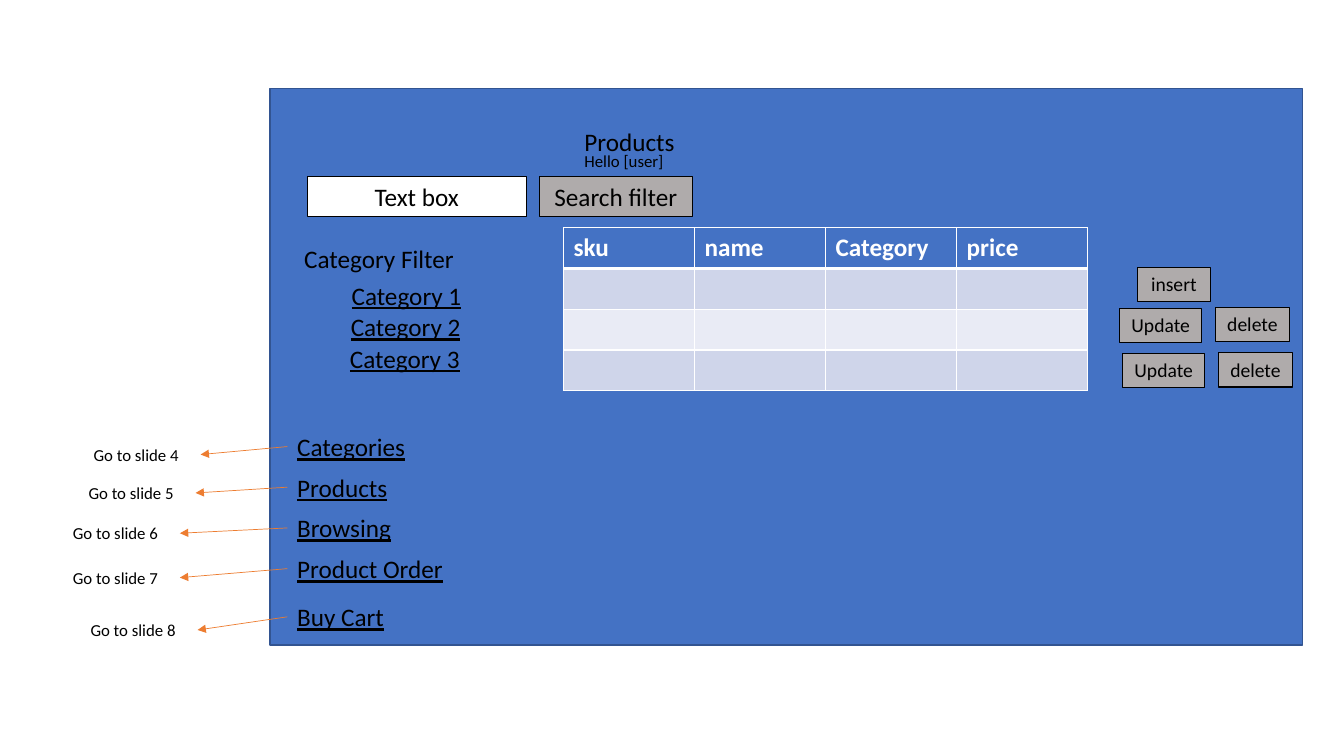
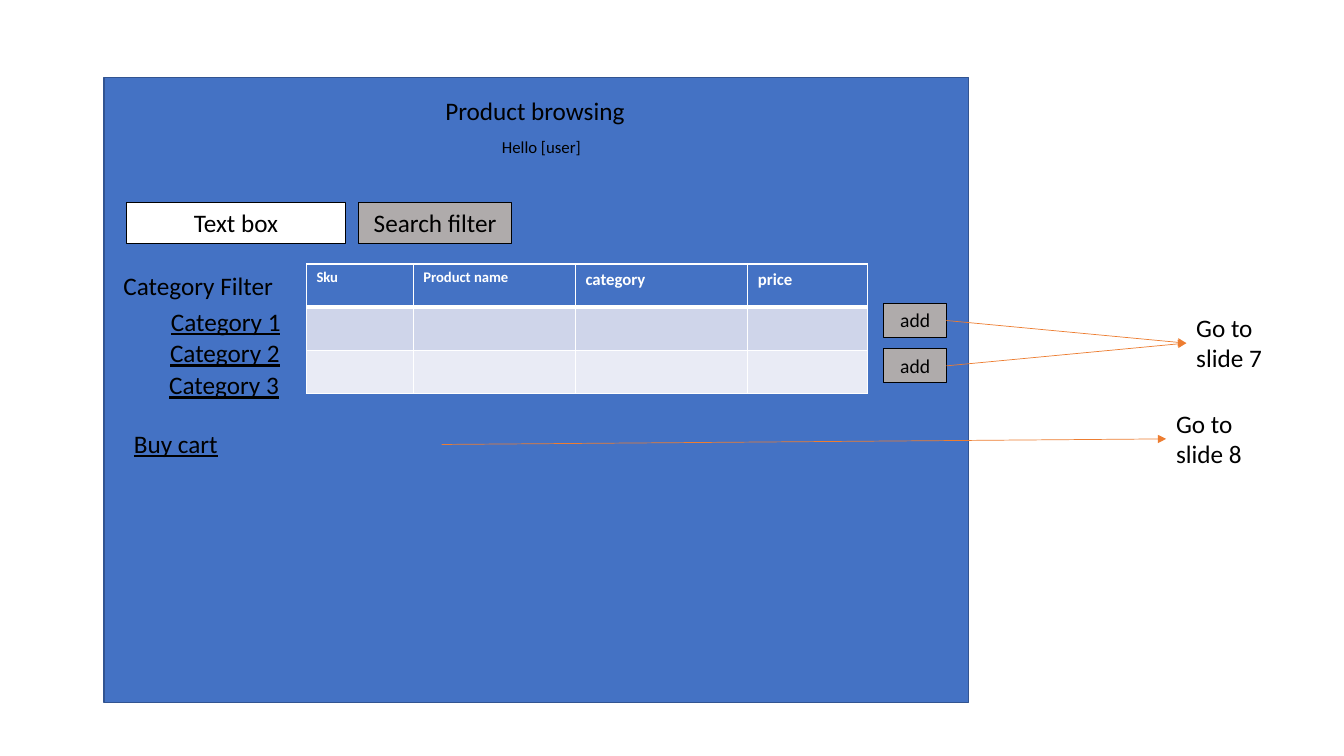
from pptx import Presentation
from pptx.dml.color import RGBColor as RGB
from pptx.enum.shapes import MSO_CONNECTOR as Connector, MSO_SHAPE as Shape
from pptx.enum.text import MSO_ANCHOR as Anchor, MSO_AUTO_SIZE as AutoSize
from pptx.oxml.ns import qn
from pptx.util import Pt
from lxml.etree import SubElement

# Theme
THEME = {
    "panel": "4472C4", "panel_edge": "325491", "button": "AFABAB",
    "field": "FFFFFF", "ink": "000000", "arrow": "ED7D31", "grid": "FFFFFF",
    "bands": ("CFD5EA", "E9EBF5"), "font": "Calibri",
    "body": 18, "button_size": 14, "note": 12,
    "line_h": 29, "button_h": 24.5, "note_h": 21.8,
}
FRAME = {"word_wrap": True, "vertical_anchor": Anchor.TOP,
         "auto_size": AutoSize.SHAPE_TO_FIT_TEXT}

# Content: positions are (left, top), sizes (width, height)
SEARCH_FIELD, SEARCH_BUTTON = "Text box", "Search filter"
FILTER_TITLE = "Category Filter"
FILTERS = ["Category 1", "Category 2", "Category 3"]
GREETING = "Hello [user]"

PRODUCTS = {
    "panel": (193, 63.4, 737.3, 397.4),
    "title": ("Products", 410.4, 86.4),
    "greeting": (410.4, 104.4),
    "search": (219.6, 126),
    "table": {"at": (402.5, 162.7), "columns": [93.6] * 4, "row": 29.1, "body_rows": 3,
              "header": [("sku", 18), ("name", 18), ("Category", 18), ("price", 18)]},
    "buttons": [("insert", 812.2, 190.8, 52.6),
                ("Update", 799.9, 220.3, 58.3), ("delete", 868.3, 219.6, 52.6),
                ("Update", 802.1, 252.2, 58.3), ("delete", 870.5, 252, 52.6)],
    "links": [("Categories", 205.2, 304.6), ("Products", 205.2, 333.6),
              ("Browsing", 205.2, 362.7), ("Product Order", 205.2, 391.8),
              ("Buy Cart", 205.2, 426.2)],
}
# Label, left and top of the note each link leads to
LINK_TARGETS = [("Go to slide 4", 59.8, 313.9), ("Go to slide 5", 56.2, 341.3),
                ("Go to slide 6", 45, 370.1), ("Go to slide 7", 45, 401.8),
                ("Go to slide 8", 57.6, 439.2)]

BROWSING = {
    "panel": (74.2, 55.4, 617.8, 446.4),
    "title": ("Product browsing", 311, 64.8),
    "greeting": (351.4, 94.3),
    "search": (90.5, 144.7),
    "table": {"at": (218.9, 188.6), "columns": [76.3, 115.9, 123.1, 85.7],
              "row": 30.8, "body_rows": 2,
              "header": [("Sku", 10.5), ("Product name", 10.5),
                         ("category", 12), ("price", 12)]},
    "buttons": [("add", 631.4, 216.7, 44.6), ("add", 631.4, 249.1, 44.6)],
    "links": [("Buy cart", 88.6, 302.4)],
}
ORDER_TARGET = ("Go to slide 7", 847.4, 219.6)
CART_TARGET = ("Go to slide 8", 833, 288)
CART_ARROW_START = (315.4, 317.5)
TARGET_W, TARGET_H = 83.5, 51


def apply(target, values):
    for name, value in values.items():
        setattr(target, name, value)


def write(frame, text, size, color=THEME["ink"], **extra):
    run = frame.paragraphs[0].add_run()
    run.text = text
    apply(run.font, {"name": THEME["font"], "size": Pt(size), **extra})
    run.font.color.rgb = RGB.from_string(color)


def label(slide, text, left, top, width, height=THEME["line_h"], size=THEME["body"], **extra):
    box = slide.shapes.add_textbox(Pt(left), Pt(top), Pt(width), Pt(height))
    apply(box.text_frame, FRAME)
    write(box.text_frame, text, size, **extra)


def rectangle(slide, left, top, width, height, fill, edge, edge_width,
              text=None, size=THEME["body"]):
    box = slide.shapes.add_shape(Shape.RECTANGLE, Pt(left), Pt(top), Pt(width), Pt(height))
    box.shadow.inherit = False
    box.fill.solid()
    box.fill.fore_color.rgb = RGB.from_string(fill)
    box.line.color.rgb = RGB.from_string(edge)
    box.line.width = Pt(edge_width)
    if text:
        apply(box.text_frame, FRAME)
        write(box.text_frame, text, size)


def control(slide, text, left, top, width, height, fill=THEME["button"], size=THEME["body"]):
    rectangle(slide, left, top, width, height, fill, THEME["ink"], 0.75, text, size)


def arrow(slide, start, end):
    line = slide.shapes.add_connector(Connector.STRAIGHT, *map(Pt, (*start, *end)))
    line.line.color.rgb = RGB.from_string(THEME["arrow"])
    line.line.width = Pt(0.5)
    properties = line._element.spPr
    SubElement(properties.find(qn("a:ln")), qn("a:tailEnd"), type="triangle")
    SubElement(properties, qn("a:effectLst"))


def style_cell(cell, row, fill):
    """Borders come before the fill in the cell properties."""
    properties = cell._tc.get_or_add_tcPr()
    widths = {"L": 1, "R": 1, "T": 3 if row == 1 else 1, "B": 3 if row == 0 else 1}
    for side, width in widths.items():
        border = SubElement(properties, qn(f"a:ln{side}"), w=str(Pt(width)))
        SubElement(SubElement(border, qn("a:solidFill")), qn("a:srgbClr"), val=THEME["grid"])
    cell.fill.solid()
    cell.fill.fore_color.rgb = RGB.from_string(fill)


def product_table(slide, at, columns, row, body_rows, header):
    rows = body_rows + 1
    grid = slide.shapes.add_table(rows, len(columns), *map(Pt, at),
                                  Pt(sum(columns)), Pt(row * rows)).table
    for column, width in zip(grid.columns, columns):
        column.width = Pt(width)
    for r, grid_row in enumerate(grid.rows):
        grid_row.height = Pt(row)
        fill = THEME["bands"][(r - 1) % 2] if r else THEME["panel"]
        for cell in grid_row.cells:
            style_cell(cell, r, fill)
    for cell, (text, size) in zip(grid.rows[0].cells, header):
        write(cell.text_frame, text, size, THEME["grid"], bold=True)


def search_and_filters(slide, left, top):
    control(slide, SEARCH_FIELD, left, top, 156.2, THEME["line_h"], THEME["field"])
    control(slide, SEARCH_BUTTON, left + 165.6, top, 109.4, THEME["line_h"])
    label(slide, FILTER_TITLE, left - 9.4, top + 44.6, 122.4)
    for i, name in enumerate(FILTERS):
        label(slide, name, left + 24.5 - 0.6 * i, top + 70.4 + 22.6 * i, 122.4, underline=True)


def page(deck, content):
    """Build the parts that both screens share."""
    slide = deck.slides.add_slide(deck.slide_layouts[6])
    rectangle(slide, *content["panel"], THEME["panel"], THEME["panel_edge"], 1)
    label(slide, *content["title"], 169.2)
    label(slide, GREETING, *content["greeting"], 128.9, THEME["note_h"], THEME["note"])
    search_and_filters(slide, *content["search"])
    product_table(slide, **content["table"])
    for button in content["buttons"]:
        control(slide, *button, THEME["button_h"], size=THEME["button_size"])
    for link in content["links"]:
        label(slide, *link, 157.7, underline=True)
    return slide


deck = Presentation()
apply(deck, {"slide_width": Pt(960), "slide_height": Pt(540)})

# Products screen: every link points left to its note
products = page(deck, PRODUCTS)
for (_, link_left, link_top), (note, left, top) in zip(PRODUCTS["links"], LINK_TARGETS):
    label(products, note, left, top, TARGET_W, THEME["note_h"], THEME["note"])
    arrow(products, (link_left, link_top + 14.4), (left + TARGET_W, top + 10.8))

# Browsing screen: add buttons meet at the order note, the cart has its own
browsing = page(deck, BROWSING)
for target in (ORDER_TARGET, CART_TARGET):
    label(browsing, *target, TARGET_W, TARGET_H)
for _, left, top, width in BROWSING["buttons"]:
    arrow(browsing, (left + width, top + THEME["button_h"] / 2),
          (ORDER_TARGET[1], ORDER_TARGET[2] + TARGET_H / 2))
arrow(browsing, CART_ARROW_START, (CART_TARGET[1], CART_TARGET[2] + TARGET_H / 2))

deck.save("out.pptx")
